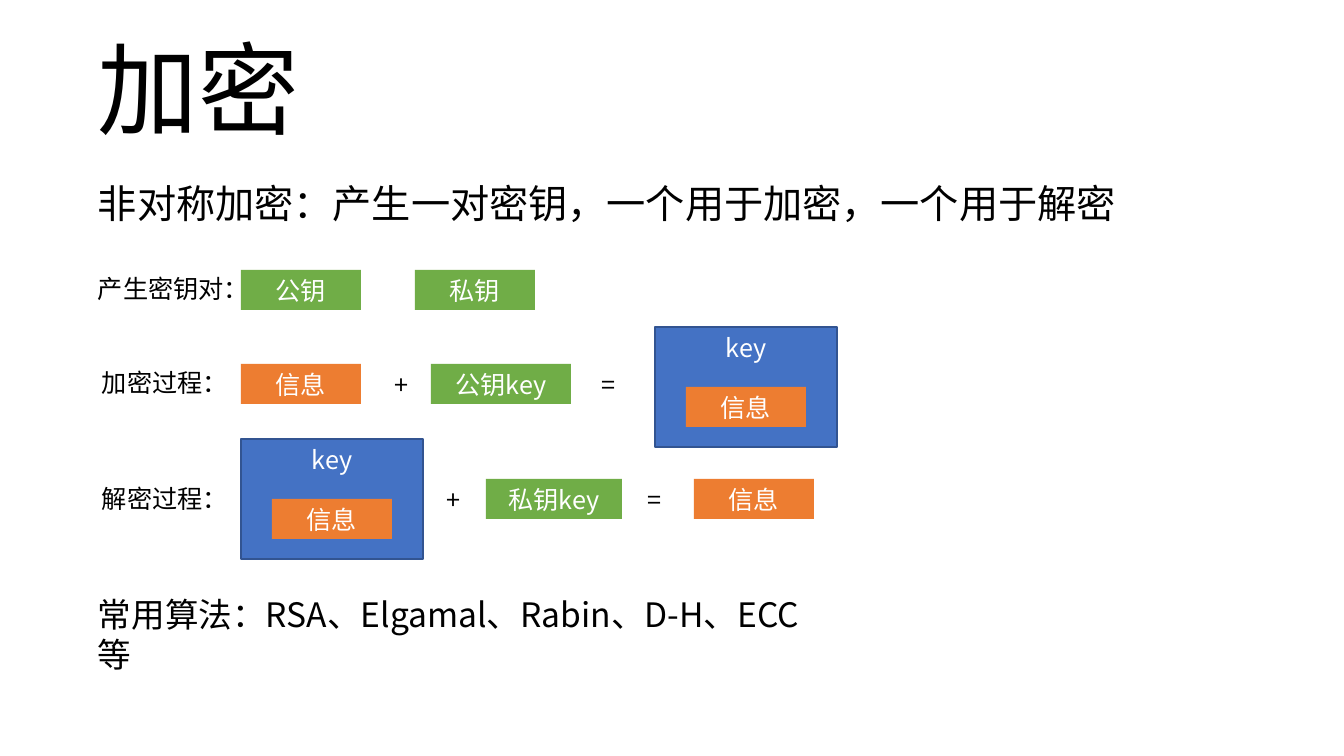
"""Build a slide that explains asymmetric encryption with key boxes."""
from pptx import Presentation
from pptx.dml.color import RGBColor
from pptx.enum.shapes import MSO_SHAPE
from pptx.enum.text import MSO_ANCHOR, PP_ALIGN
from pptx.util import Pt

SCALE = 914400 / 100.8
FONT = "Noto Sans CJK SC"
GREEN, ORANGE, BLUE, NAVY = "70AD47", "ED7D31", "4472C4", "325491"
BLACK, WHITE = "000000", "FFFFFF"
BAR_HEIGHT, BAR_WIDTH, SIGN_WIDTH = 40, 120, 44
LOCK_WIDTH, LOCK_HEIGHT = 182, 120
BAR_INSET, BAR_DROP = 31, 60

HEADINGS = [
    ("加密", 88, 22, 225, 132, 72),
    ("非对称加密：产生一对密钥，一个用于加密，一个用于解密", 88, 174, 1129, 57, 28),
    ("常用算法：RSA、Elgamal、Rabin、D-H、ECC等", 88, 589, 749, 50, 24),
]
LABELS = [
    ("产生密钥对：", 88, 268, 153),
    ("加密过程：", 92, 362, 135),
    ("解密过程：", 92, 478, 135),
]
BARS = [
    ("公钥", 241, 270, BAR_WIDTH, GREEN),
    ("私钥", 415, 270, BAR_WIDTH, GREEN),
    ("信息", 241, 364, BAR_WIDTH, ORANGE),
    ("公钥key", 431, 364, 140, GREEN),
    ("私钥key", 486, 479, 136, GREEN),
    ("信息", 694, 479, BAR_WIDTH, ORANGE),
]
SIGNS = [("+", 379, 364), ("=", 586, 364), ("+", 431, 479), ("=", 632, 479)]
LOCKED_MESSAGES = [(655, 327), (241, 439)]


def px(*lengths):
    return [round(length * SCALE) for length in lengths]


def color(value):
    return RGBColor.from_string(value)


def write(shape, text, size=18, ink=BLACK, align=PP_ALIGN.LEFT,
          anchor=MSO_ANCHOR.TOP, wrap=True):
    frame = shape.text_frame
    frame.word_wrap = wrap
    frame.vertical_anchor = anchor
    para = frame.paragraphs[0]
    para.alignment = align
    span = para.add_run()
    span.text = text
    span.font.size = Pt(size)
    span.font.name = FONT
    span.font.color.rgb = color(ink)


def add_text(page, text, left, top, width, height, **style):
    box = page.shapes.add_textbox(*px(left, top, width, height))
    write(box, text, **style)


def add_block(page, text, left, top, width, height, fill, line=None,
              anchor=MSO_ANCHOR.MIDDLE):
    block = page.shapes.add_shape(
        MSO_SHAPE.RECTANGLE, *px(left, top, width, height))
    block.shadow.inherit = False
    block.fill.solid()
    block.fill.fore_color.rgb = color(fill)
    if line:
        block.line.color.rgb = color(line)
        block.line.width = Pt(1)
    else:
        block.line.fill.background()
    write(block, text, ink=WHITE, align=PP_ALIGN.CENTER, anchor=anchor)


def main():
    deck = Presentation()
    deck.slide_width, deck.slide_height = px(1344, 756)
    page = deck.slides.add_slide(deck.slide_layouts[6])
    for text, left, top, width, height, size in HEADINGS:
        add_text(page, text, left, top, width, height, size=size)
    for text, left, top, width in LABELS:
        add_text(page, text, left, top, width, BAR_HEIGHT, wrap=False)
    for text, left, top, width, fill in BARS:
        add_block(page, text, left, top, width, BAR_HEIGHT, fill)
    for text, left, top in SIGNS:
        add_text(page, text, left, top, SIGN_WIDTH, BAR_HEIGHT,
                 align=PP_ALIGN.CENTER)
    for left, top in LOCKED_MESSAGES:
        add_block(page, "key", left, top, LOCK_WIDTH, LOCK_HEIGHT, BLUE,
                  line=NAVY, anchor=MSO_ANCHOR.TOP)
        add_block(page, "信息", left + BAR_INSET, top + BAR_DROP,
                  BAR_WIDTH, BAR_HEIGHT, ORANGE)
    deck.save("out.pptx")


if __name__ == "__main__":
    main()
